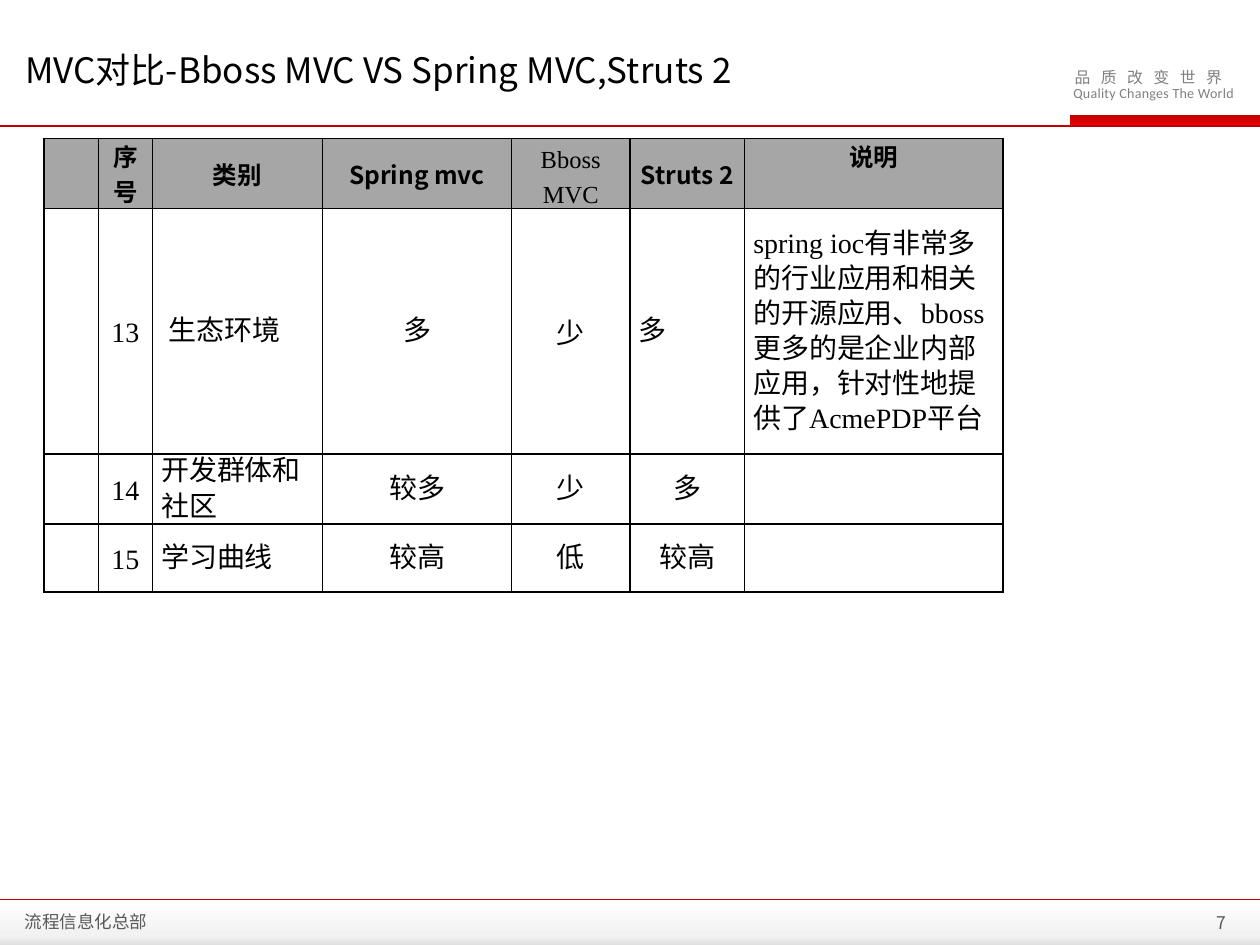
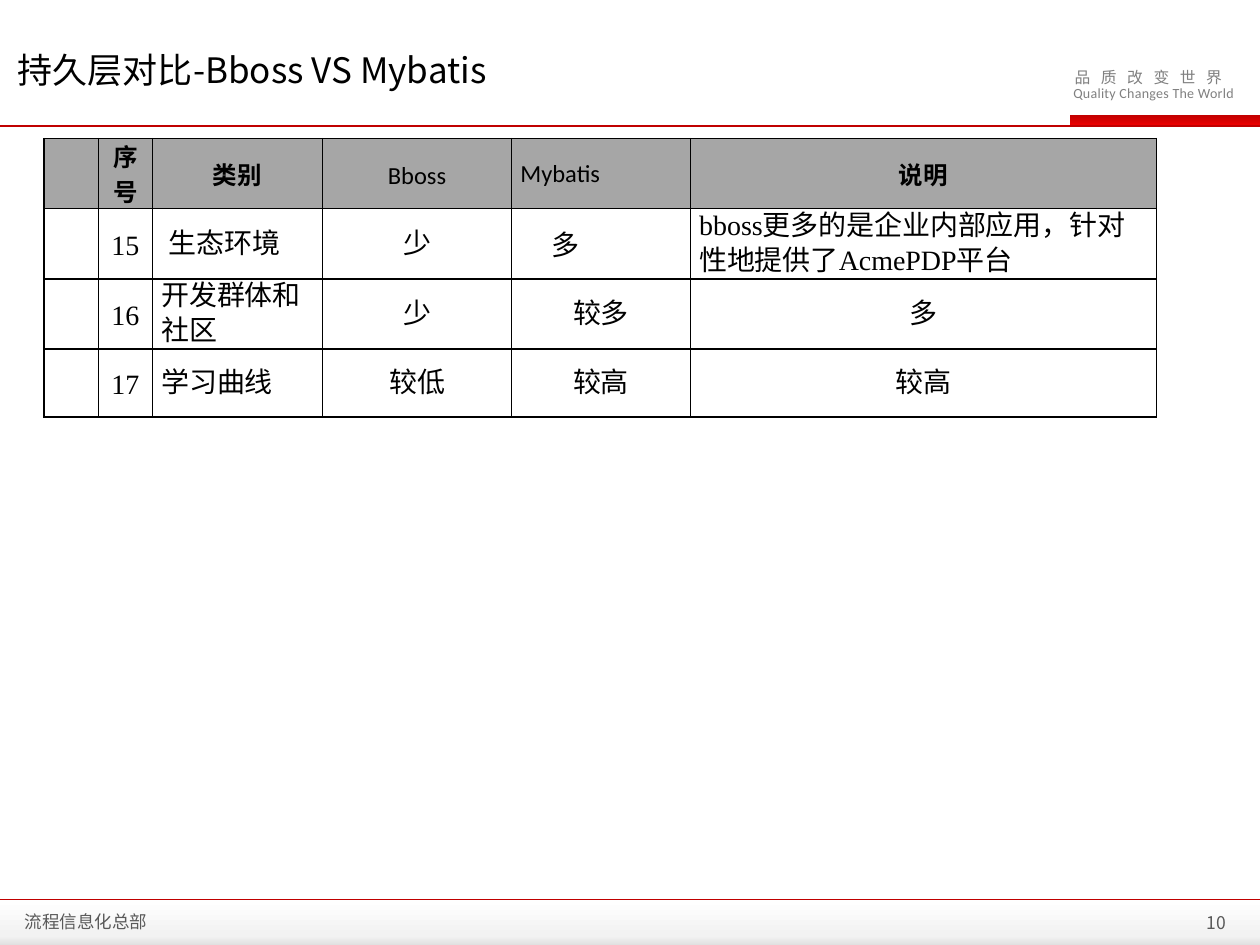
from lxml import etree
from pptx import Presentation
from pptx.dml.color import RGBColor
from pptx.enum import shapes, text
from pptx.oxml import ns
from pptx.util import Inches, Pt

COLORS = {
    "black": "000000",
    "red": "C00000",
    "bright_red": "EE0000",
    "motto": "808080",
    "footer": "595959",
    "header": "A6A6A6",
    "white": "FFFFFF",
    "pale": "F2F2F2",
    "silver": "DCDCDC",
}
CJK, SANS, SERIF = "Noto Sans CJK SC", "Calibri", "Times New Roman"
LEFT, CENTER, RIGHT = text.PP_ALIGN.LEFT, text.PP_ALIGN.CENTER, text.PP_ALIGN.RIGHT
TOP, MIDDLE = text.MSO_ANCHOR.TOP, text.MSO_ANCHOR.MIDDLE

ROW_HEIGHTS = [0.43, 0.54, 0.54, 0.54]


def color(name):
    return RGBColor.from_string(COLORS[name])


def add_child(parent, tag, **attributes):
    child = etree.SubElement(parent, ns.qn(tag))
    for key, value in attributes.items():
        child.set(key, str(value))
    return child


# ---------- text ----------

def write(paragraph, words, size, font, color_name="black", bold=False,
          align=LEFT, line=None, indent=0, tracking=0):
    """Add one formatted run; line is in points, indent in inches."""
    paragraph.alignment = align
    if line:
        paragraph.line_spacing = Pt(line)
    if indent:
        paragraph._p.get_or_add_pPr().set("marL", str(Inches(indent)))
    run = paragraph.add_run()
    run.text = words
    run.font.size = Pt(size)
    run.font.name = font
    run.font.bold = bold
    run.font.color.rgb = color(color_name)
    properties = run._r.get_or_add_rPr()
    add_child(properties, "a:ea", typeface=CJK)
    if tracking:
        properties.set("spc", str(tracking))


def add_label(slide, box, words, size, font, color_name, anchor=TOP,
              wrap=True, **style):
    frame = slide.shapes.add_textbox(*map(Inches, box)).text_frame
    frame.word_wrap = wrap
    frame.vertical_anchor = anchor
    write(frame.paragraphs[0], words, size, font, color_name, **style)


def set_title(slide, words, indent):
    title = slide.shapes.title
    title.left, title.top, title.width, title.height = map(
        Inches, (0.04, 0.29, 8.37, 0.54))
    frame = title.text_frame
    frame.auto_size = text.MSO_AUTO_SIZE.NONE
    frame.vertical_anchor = TOP
    paragraph = frame.paragraphs[0]
    paragraph.space_before = Pt(0)
    write(paragraph, words, 20, CJK, line=27, indent=indent)


# ---------- bands and rules ----------

def add_band(slide, box, stops):
    """Rectangle with a gradient from top to bottom."""
    band = slide.shapes.add_shape(shapes.MSO_SHAPE.RECTANGLE, *map(Inches, box))
    band.shadow.inherit = False
    band.line.fill.background()
    band.fill.gradient()
    band.fill.gradient_angle = 270
    stop_list = band._element.spPr.find(".//" + ns.qn("a:gsLst"))
    for stop in list(stop_list):
        stop_list.remove(stop)
    for position, name in stops:
        stop = add_child(stop_list, "a:gs", pos=position * 1000)
        add_child(stop, "a:srgbClr", val=COLORS[name])


def add_rule(slide, top, width):
    rule = slide.shapes.add_connector(
        shapes.MSO_CONNECTOR.STRAIGHT,
        Inches(0), Inches(top), Inches(10), Inches(top))
    rule.line.color.rgb = color("red")
    rule.line.width = Pt(width)
    add_child(rule._element.spPr, "a:effectLst")


def add_frame(slide, page):
    """Motto, bands, rules and footer shared by all slides."""
    add_band(slide, (8.49, 0.91, 1.51, 0.09), [(0, "red"), (100, "bright_red")])
    add_label(slide, (8.43, 0.49, 1.51, 0.25), "品 质 改 变 世 界", 9, CJK,
              "motto", wrap=False, tracking=200)
    add_label(slide, (8.42, 0.62, 1.58, 0.24), "Quality Changes The World", 8,
              SANS, "motto", tracking=15)
    add_rule(slide, 1, 1.5)
    add_band(slide, (0, 7.14, 10, 0.38),
             [(0, "white"), (75, "pale"), (100, "silver")])
    add_rule(slide, 7.14, 1)
    add_label(slide, (0.1, 7.21, 3.17, 0.21), "流程信息化总部", 10, CJK,
              "footer", MIDDLE)
    add_label(slide, (8.65, 7.2, 1.18, 0.25), page, 10, CJK, "footer", MIDDLE,
              align=RIGHT)


# ---------- table ----------

def cell(words, **style):
    """Table cell content that departs from the row's usual style."""
    return words, style


def format_cell(target, is_header):
    properties = target._tc.get_or_add_tcPr()
    for side in ("a:lnL", "a:lnR", "a:lnT", "a:lnB"):
        border = add_child(properties, side, w=Pt(1))
        add_child(add_child(border, "a:solidFill"), "a:srgbClr",
                  val=COLORS["black"])
    if is_header:
        target.fill.solid()
        target.fill.fore_color.rgb = color("header")
    else:
        target.fill.background()


def fill_cell(target, content, is_header):
    words, changes = content if isinstance(content, tuple) else (content, {})
    if not words:
        return
    style = {"size": 14 if is_header else 16, "font": SERIF, "bold": is_header,
             "align": CENTER, "line": 20, **changes}
    target.vertical_anchor = style.pop("anchor", MIDDLE)
    target.margin_left = target.margin_right = Inches(0.07)
    target.margin_top = target.margin_bottom = 0
    write(target.text_frame.paragraphs[0], words, **style)


def add_comparison(slide, widths, rows):
    table = slide.shapes.add_table(
        len(rows), len(widths), Inches(0.35), Inches(1.1),
        Inches(sum(widths)), Inches(sum(ROW_HEIGHTS))).table
    table.horz_banding = False
    for column, width in zip(table.columns, widths):
        column.width = Inches(width)
    for row, height in zip(table.rows, ROW_HEIGHTS):
        row.height = Inches(height)
    for i, contents in enumerate(rows):
        # The first column stays empty
        for j, content in enumerate(["", *contents]):
            format_cell(table.cell(i, j), i == 0)
            fill_cell(table.cell(i, j), content, i == 0)


# ---------- content ----------

ECOSYSTEM = cell("生态环境", align=LEFT, indent=0.06)
COMMUNITY = cell("开发群体和社区", align=LEFT, font=SANS)
LEARNING = cell("学习曲线", align=LEFT)

SLIDES = [
    {
        "title": "MVC对比-Bboss MVC VS Spring MVC,Struts 2",
        "indent": 0.06,
        "page": "7",
        "widths": [0.43, 0.43, 1.35, 1.5, 0.94, 0.91, 2.05],
        "rows": [
            ["序号", "类别", cell("Spring mvc", font=CJK),
             cell("Bboss MVC", bold=False), cell("Struts 2", font=CJK),
             cell("说明", font=CJK, anchor=TOP)],
            ["13", ECOSYSTEM, "多", cell("少", font=SANS, line=None),
             cell("多", align=LEFT),
             cell("spring ioc有非常多的行业应用和相关的开源应用、bboss更多的是"
                  "企业内部应用，针对性地提供了AcmePDP平台", align=LEFT)],
            ["14", COMMUNITY, "较多", "少", "多", ""],
            ["15", LEARNING, "较高", "低", "较高", ""],
        ],
    },
    {
        "title": "持久层对比-Bboss VS Mybatis",
        "indent": 0,
        "page": "10",
        "widths": [0.43, 0.43, 1.35, 1.5, 1.42, 3.7],
        "rows": [
            ["序号", "类别", cell("Bboss", font=SANS, bold=False),
             cell("Mybatis", font=SANS, bold=False, align=LEFT, line=None),
             cell("说明", font=CJK)],
            ["15", ECOSYSTEM, "少",
             cell("多", font=SANS, align=LEFT, line=None, indent=0.25),
             cell("bboss更多的是企业内部应用，针对性地提供了AcmePDP平台",
                  align=LEFT)],
            ["16", COMMUNITY, "少", "较多", "多"],
            ["17", LEARNING, "较低", "较高", "较高"],
        ],
    },
]


def main():
    presentation = Presentation()
    presentation.slide_width = Inches(10)
    presentation.slide_height = Inches(7.5)
    title_only = presentation.slide_layouts[5]
    for content in SLIDES:
        slide = presentation.slides.add_slide(title_only)
        add_frame(slide, content["page"])
        set_title(slide, content["title"], content["indent"])
        add_comparison(slide, content["widths"], content["rows"])
    presentation.save("out.pptx")


main()
